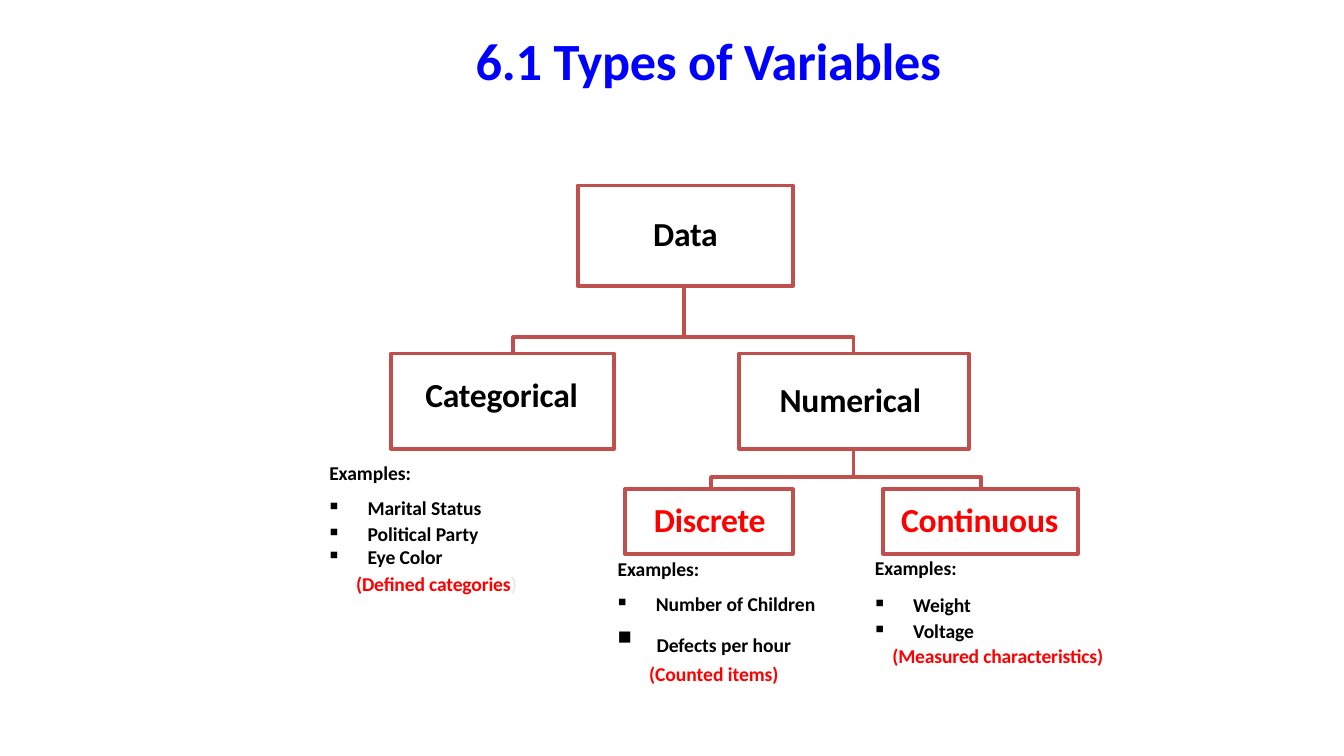
import pptx
import pptx.dml.color
import pptx.enum.shapes
import pptx.enum.text
import pptx.oxml.ns
import pptx.util
from lxml import etree

COLORS = {"title": "0000FF", "border": "C0504D", "box": "FFFFFF",
          "text": "000000", "accent": "FF0000", "pale": "EDEBE0"}

# Widescreen slide, 16 to 9
presentation = pptx.Presentation()
presentation.slide_width = pptx.util.Inches(10)
presentation.slide_height = presentation.slide_width * 9 // 16
slide = presentation.slides.add_slide(presentation.slide_layouts[6])

# Square grid: 100 columns across the slide, rows of the same size
CELL = presentation.slide_width / 100


def cells(*counts):
    return [round(count * CELL) for count in counts]


def write(shape, text, size=10.5, color="text", bold=True, spacing=-0.05, inset=None,
          align=None, before=0, line=None, indent=0.1, hanging=0, bullet=False, join=False):
    """Add a paragraph to the shape, or with join a run to its last paragraph."""
    frame = shape.text_frame
    if inset is not None:
        frame.word_wrap = True
        frame.vertical_anchor = pptx.enum.text.MSO_ANCHOR.TOP
        frame.margin_left = frame.margin_right = frame.margin_bottom = 0
        frame.margin_top = cells(inset)[0]
    paragraph = frame.paragraphs[-1]
    if not join:
        if paragraph.runs:
            paragraph = frame.add_paragraph()
        paragraph.alignment = align or pptx.enum.text.PP_ALIGN.LEFT
        paragraph.space_before = pptx.util.Pt(before)
        if line:
            paragraph.line_spacing = line
        properties = paragraph._p.get_or_add_pPr()
        left, first = cells(indent, -hanging)
        properties.set("marL", str(left))
        properties.set("indent", str(first))
        if bullet:
            qn = pptx.oxml.ns.qn
            etree.SubElement(properties, qn("a:buSzPct"), val="57000")
            etree.SubElement(properties, qn("a:buChar"), char="■")
            tabs = etree.SubElement(properties, qn("a:tabLst"))
            etree.SubElement(tabs, qn("a:tab"), pos=str(cells(3)[0]), algn="l")
    run = paragraph.add_run()
    run.text = text
    run.font.name = "Calibri"
    run.font.size = pptx.util.Pt(size)
    run.font.bold = bold
    run.font.color.rgb = pptx.dml.color.RGBColor.from_string(COLORS[color])
    run._r.get_or_add_rPr().set("spc", str(round(spacing * 100)))


# Title
title = slide.shapes.add_textbox(*cells(35.2, 2, 35.6, 4.9))
write(title, "6.1 Types of Variables", size=28, color="title", spacing=-0.12, inset=0.1,
      indent=0.2)

# Branch lines: parent column, its bottom row, bar row, child row, child columns
branches = [(63.5, 33.4, 35.5, 36.4, (73, 52.9)),
            (50.9, 21.2, 25.1, 26.3, (63.5, 38.2))]
for parent, bottom, bar, top, children in branches:
    builder = slide.shapes.build_freeform(*cells(children[0], top), scale=1.0)
    for child in children:
        if child != children[0]:
            builder.move_to(*cells(child, top))
        corners = [(child, bar), (parent, bar), (parent, bottom)]
        builder.add_line_segments([cells(*corner) for corner in corners], close=False)
    branch = builder.convert_to_shape()
    branch.shadow.inherit = False
    branch.fill.background()
    branch.line.color.rgb = pptx.dml.color.RGBColor.from_string(COLORS["border"])
    branch.line.width = pptx.util.Pt(2)

# Tree boxes: name, left, top, width, height, text inset, text indent, colour
boxes = [("Data", 43, 13.8, 16, 7.5, 2.05, 0, "text"),
         ("Categorical", 29.1, 26.3, 16.6, 7.1, 1.5, 2.55, "text"),
         ("Numerical", 55, 26.3, 17.1, 7.1, 1.9, 3, "text"),
         ("Discrete", 46.5, 36.4, 12.5, 4.8, 0.7, 2.15, "accent"),
         ("Continuous", 65.7, 36.4, 14.5, 4.8, 0.7, 1.35, "accent")]
for name, left, top, width, height, inset, indent, color in boxes:
    box = slide.shapes.add_shape(pptx.enum.shapes.MSO_SHAPE.RECTANGLE,
                                 *cells(left, top, width, height))
    box.shadow.inherit = False
    box.fill.solid()
    box.fill.fore_color.rgb = pptx.dml.color.RGBColor.from_string(COLORS["box"])
    box.line.color.rgb = pptx.dml.color.RGBColor.from_string(COLORS["border"])
    box.line.width = pptx.util.Pt(2)
    align = None if indent else pptx.enum.text.PP_ALIGN.CENTER
    write(box, name, size=18, color=color, spacing=-0.1, inset=inset, indent=indent,
          align=align)

# Headings and bulleted examples under Categorical and Continuous
item = {"bullet": True, "indent": 2.95, "hanging": 2.8, "spacing": 0}
lists = [(24.4, 34.2, 36.6, 11.7, ["Marital Status", "Political Party", "Eye Color"]),
         (65, 41.3, 43.8, 17.7, ["Weight", "Voltage"])]
for left, heading_top, list_top, width, names in lists:
    heading = slide.shapes.add_textbox(*cells(left, heading_top, 6.5, 2))
    write(heading, "Examples:", inset=0.1, spacing=0)
    examples = slide.shapes.add_textbox(*cells(left, list_top, width, 6))
    for name, before in zip(names, (2.3, 1.4, 0)):
        write(examples, name, inset=0.3, before=before, **item)
write(examples, "(Measured characteristics)", color="accent", before=1.2, indent=1.4)

# Note under the categorical examples
note = slide.shapes.add_textbox(*cells(26.4, 42.45, 12.6, 2))
write(note, "(Defined categories", color="accent", inset=0.1)
write(note, ")", color="pale", join=True)

# Examples under Discrete
counted = slide.shapes.add_textbox(*cells(45.85, 40.45, 15.1, 9.4))
write(counted, "Examples:", inset=1, spacing=0)
write(counted, "Number of Children", before=6.2, **item)
write(counted, "\t", size=18, bold=False, before=0.1, line=1.09,
      bullet=True, indent=2.45, hanging=2.35)
write(counted, "Defects per hour ", spacing=0, join=True)
write(counted, "(Counted items)", color="accent", spacing=0, join=True)

presentation.save("out.pptx")
